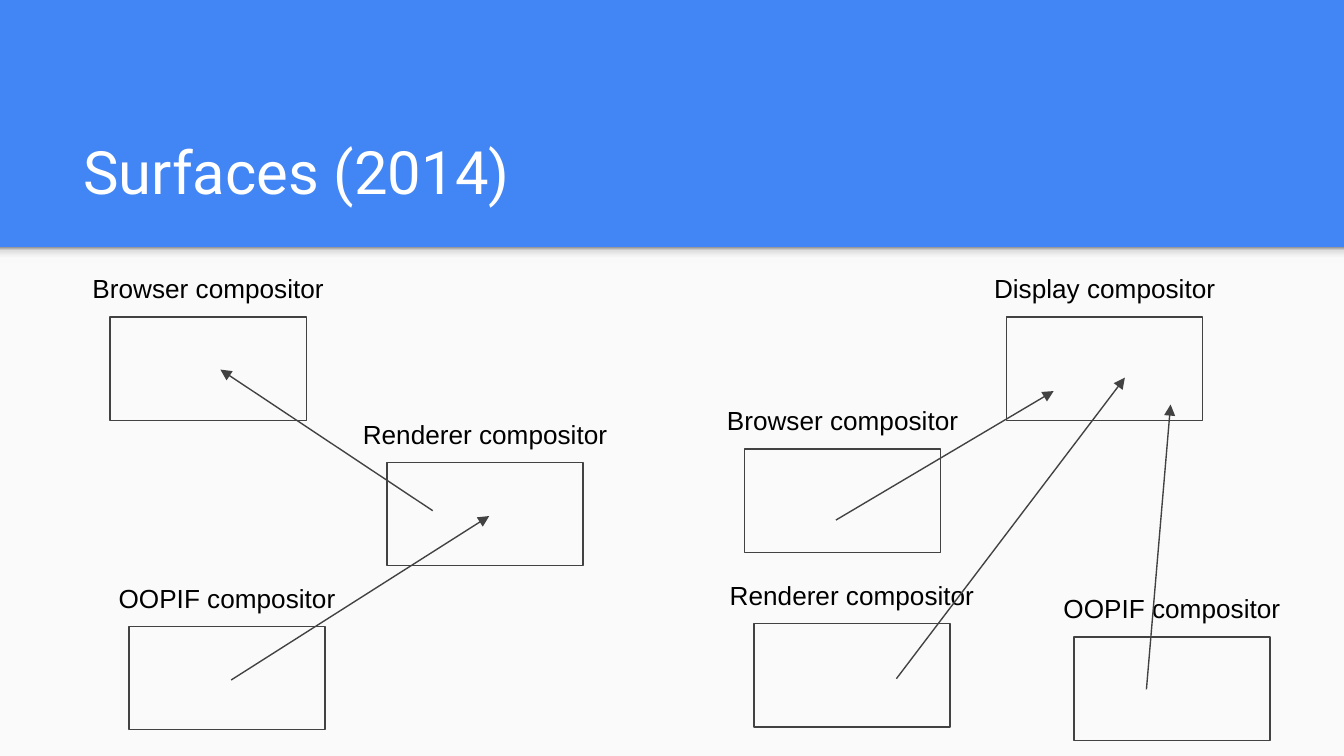
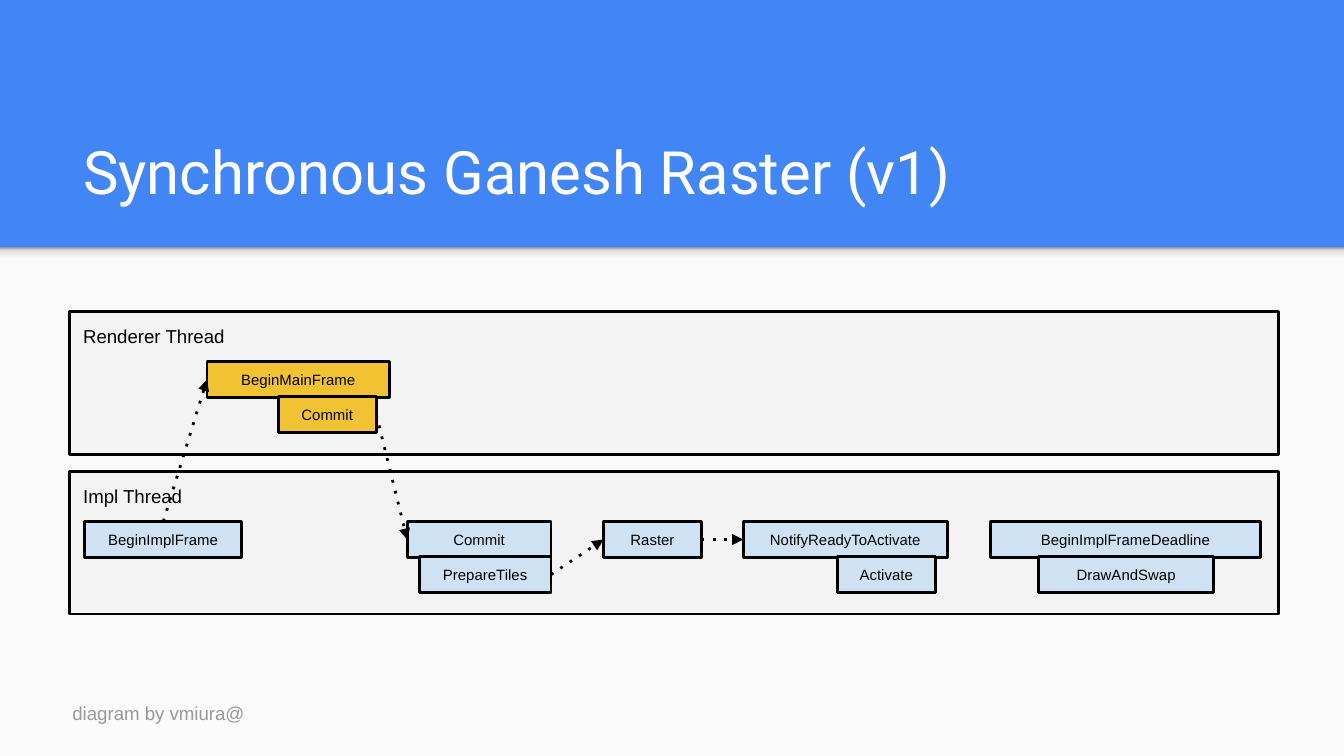
"""Build two slides on compositor surfaces and synchronous raster threads."""
import pptx
import pptx.util
import pptx.dml.color
import pptx.enum.shapes
import pptx.enum.text
import pptx.oxml.ns
from lxml import etree

COLORS = {
    "band": "4285F4", "page": "FAFAFA", "title": "FFFFFF", "text": "000000",
    "outline": "424242", "thread": "F3F3F3", "impl": "CFE2F3",
    "main": "F1C232", "credit": "999999",
}
SHADOW_STOPS = [(0, "F9F9F9"), (36, "F9F9F9"), (80, "DEDEDE"), (100, "999999")]
WIDTH = 10
HEIGHT = WIDTH * 9 / 16
BAND_HEIGHT = 1.84
TITLE_AREA = (0.52, 0.8, 8.99, 0.84)

SURFACES_TITLE = "Surfaces (2014)"
BOX_WIDTH, BOX_HEIGHT = 1.46, 0.77
LABEL_OVERHANG, LABEL_RISE, LABEL_HEIGHT = 0.3, 0.43, 0.45
COMPOSITORS = [
    ("Browser compositor", 0.82, 2.36),
    ("Renderer compositor", 2.88, 3.44),
    ("OOPIF compositor", 0.96, 4.66),
    ("Display compositor", 7.49, 2.36),
    ("Renderer compositor", 5.61, 4.64),
    ("OOPIF compositor", 7.99, 4.74),
    ("Browser compositor", 5.54, 3.34),
]
SURFACE_ARROWS = [
    ((1.72, 5.06), (3.64, 3.84)),
    ((3.22, 3.8), (1.64, 2.75)),
    ((6.22, 3.87), (7.84, 2.91)),
    ((6.67, 5.05), (8.37, 2.81)),
    ((8.53, 5.13), (8.71, 3.01)),
]

RASTER_TITLE = "Synchronous Ganesh Raster (v1)"
THREAD_LEFT, THREAD_WIDTH, THREAD_HEIGHT = 0.52, 8.99, 1.06
TASK_OFFSET, TASK_STEP, TASK_HEIGHT = 0.37, 0.26, 0.27
THREADS = [
    ("Renderer Thread", 2.32, "main", [
        ("BeginMainFrame", 0, 1.54, 1.36),
        ("Commit", 1, 2.07, 0.73),
    ]),
    ("Impl Thread", 3.51, "impl", [
        ("BeginImplFrame", 0, 0.63, 1.17),
        ("Commit", 0, 3.03, 1.07),
        ("PrepareTiles", 1, 3.12, 0.98),
        ("Raster", 0, 4.49, 0.73),
        ("NotifyReadyToActivate", 0, 5.53, 1.52),
        ("Activate", 1, 6.23, 0.73),
        ("BeginImplFrameDeadline", 0, 7.37, 2.01),
        ("DrawAndSwap", 1, 7.73, 1.3),
    ]),
]
TASK_ARROWS = [
    (("impl", "BeginImplFrame"), "top", ("main", "BeginMainFrame")),
    (("main", "Commit"), "right", ("impl", "Commit")),
    (("impl", "PrepareTiles"), "right", ("impl", "Raster")),
    (("impl", "Raster"), "right", ("impl", "NotifyReadyToActivate")),
]
CREDIT = ("diagram by vmiura@", (0.44, 5.14, 1.82, 0.2))

ALIGN = pptx.enum.text.PP_ALIGN
ANCHOR = pptx.enum.text.MSO_ANCHOR


def rgb(name):
    return pptx.dml.color.RGBColor.from_string(COLORS[name])


def inches(values):
    return [pptx.util.Inches(v) for v in values]


def sub(parent, tag, **attrs):
    return etree.SubElement(parent, pptx.oxml.ns.qn(tag), attrs)


def set_text(sp, text, size, color="text", font="Arial", align=ALIGN.LEFT, anchor=ANCHOR.TOP):
    tf = sp.text_frame
    tf.word_wrap = True
    tf.vertical_anchor = anchor
    tf.margin_left = tf.margin_top = tf.margin_right = tf.margin_bottom = pptx.util.Inches(0.1)
    p = tf.paragraphs[0]
    p.text = text
    p.alignment = align
    p.font.size = pptx.util.Pt(size)
    p.font.name = font
    p.font.color.rgb = rgb(color)


def add_text(s, area, text, size, **style):
    set_text(s.shapes.add_textbox(*inches(area)), text, size, **style)


def add_rect(s, area, fill=None, line=None, weight=0.75):
    sp = s.shapes.add_shape(pptx.enum.shapes.MSO_SHAPE.RECTANGLE, *inches(area))
    sp.shadow.inherit = False
    if fill:
        sp.fill.solid()
        sp.fill.fore_color.rgb = rgb(fill)
    else:
        sp.fill.background()
    if line:
        sp.line.color.rgb = rgb(line)
        sp.line.width = pptx.util.Pt(weight)
    else:
        sp.line.fill.background()
    return sp


def add_arrow(s, start, end, color, weight, dotted=False):
    straight = pptx.enum.shapes.MSO_CONNECTOR.STRAIGHT
    line = s.shapes.add_connector(straight, *inches(start + end))
    line.line.color.rgb = rgb(color)
    line.line.width = pptx.util.Pt(weight)
    spPr = line._element.spPr
    ln = spPr.find(pptx.oxml.ns.qn("a:ln"))
    if dotted:
        sub(ln, "a:prstDash", val="dot")
    sub(ln, "a:tailEnd", type="triangle")
    sub(spPr, "a:effectLst")


def add_base(prs, title):
    s = prs.slides.add_slide(prs.slide_layouts[6])
    s.background.fill.solid()
    s.background.fill.fore_color.rgb = rgb("band")
    add_rect(s, (0, BAND_HEIGHT, WIDTH, HEIGHT - BAND_HEIGHT), "page")
    shadow = add_rect(s, (0, BAND_HEIGHT, WIDTH, 0.12))
    shadow.fill.gradient()
    shadow.fill.gradient_angle = 90
    stops = next(shadow._element.spPr.iter(pptx.oxml.ns.qn("a:gsLst")))
    for stop in list(stops):
        stops.remove(stop)
    for share, color in SHADOW_STOPS:
        sub(sub(stops, "a:gs", pos=str(share * 1000)), "a:srgbClr", val=color)
    add_text(s, TITLE_AREA, title, 32, color="title", font="Roboto", anchor=ANCHOR.BOTTOM)
    return s


def build_surfaces(prs):
    s = add_base(prs, SURFACES_TITLE)
    for name, left, top in COMPOSITORS:
        add_rect(s, (left, top, BOX_WIDTH, BOX_HEIGHT), line="outline")
        label = (left - LABEL_OVERHANG, top - LABEL_RISE,
                 BOX_WIDTH + 2 * LABEL_OVERHANG, LABEL_HEIGHT)
        add_text(s, label, name, 14, align=ALIGN.CENTER)
    for start, end in SURFACE_ARROWS:
        add_arrow(s, start, end, "outline", 0.75)


def side_point(area, side):
    left, top, width, height = area
    return {
        "left": (left, top + height / 2),
        "right": (left + width, top + height / 2),
        "top": (left + width / 2, top),
    }[side]


def build_raster(prs):
    s = add_base(prs, RASTER_TITLE)
    areas = {}
    for thread, top, kind, tasks in THREADS:
        lane = (THREAD_LEFT, top, THREAD_WIDTH, THREAD_HEIGHT)
        set_text(add_rect(s, lane, "thread", "text", 1.5), thread, 10)
        for name, row, left, width in tasks:
            area = (left, top + TASK_OFFSET + row * TASK_STEP, width, TASK_HEIGHT)
            areas[kind, name] = area
            set_text(add_rect(s, area, kind, "text", 1.5), name, 8,
                     align=ALIGN.CENTER, anchor=ANCHOR.MIDDLE)
    for source, side, target in TASK_ARROWS:
        add_arrow(s, side_point(areas[source], side), side_point(areas[target], "left"),
                  "text", 1.5, dotted=True)
    text, area = CREDIT
    add_text(s, area, text, 10, color="credit")


def main():
    prs = pptx.Presentation()
    prs.slide_width, prs.slide_height = inches((WIDTH, HEIGHT))
    build_surfaces(prs)
    build_raster(prs)
    prs.save("out.pptx")


if __name__ == "__main__":
    main()
